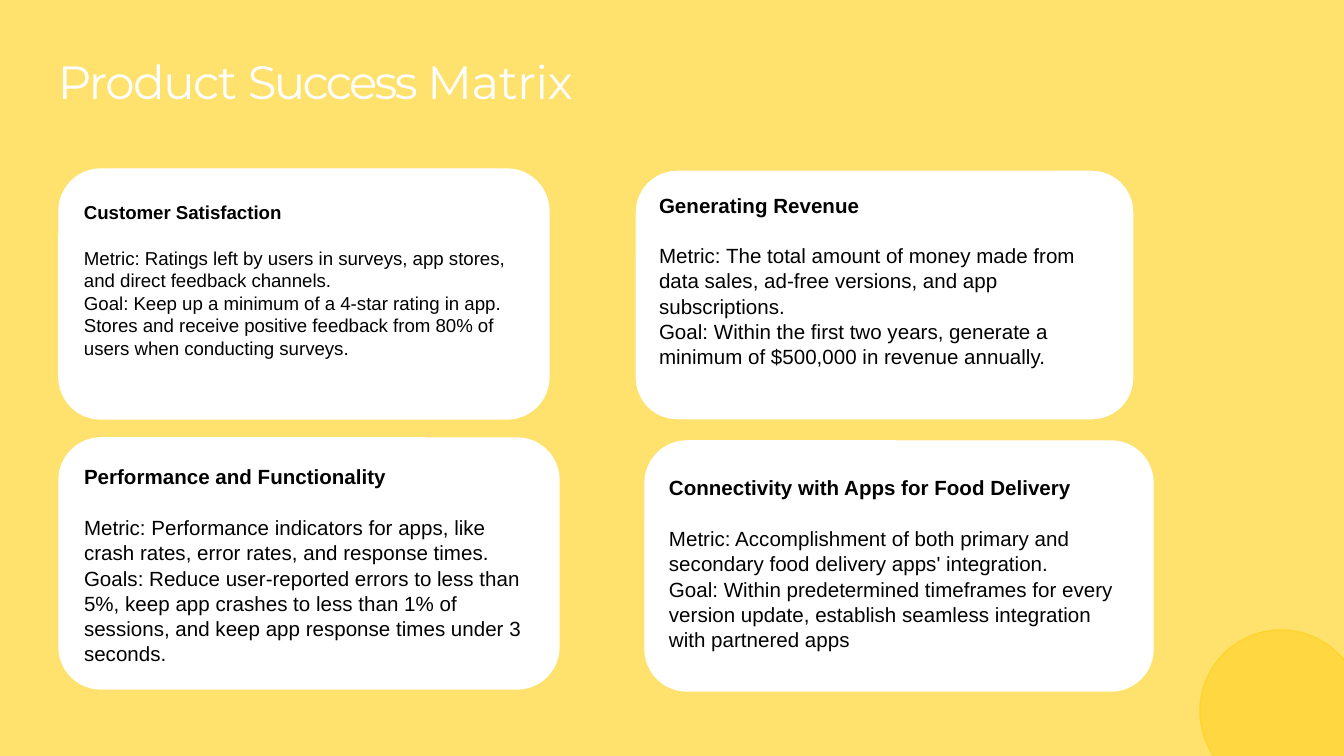
from math import asin, acos, cos, pi, sin

from pptx import Presentation
from pptx.dml.color import RGBColor
from pptx.enum.shapes import MSO_SHAPE as Shape
from pptx.enum.text import MSO_ANCHOR as Anchor, PP_ALIGN as Align
from pptx.oxml.ns import qn
from pptx.oxml.xmlchemy import OxmlElement
from pptx.util import Pt

SCALE = 914400 / 134.4  # EMU per px
WIDTH, HEIGHT = 1344, 756
WHITE = RGBColor(0xFF, 0xFF, 0xFF)
BLACK = RGBColor(0, 0, 0)
YELLOW = RGBColor(0xFF, 0xE1, 0x6E)
GOLD = RGBColor(0xFF, 0xD4, 0x2F)

# Content: title runs with their letter spacing in points
TITLE = [("Product ", -0.8), ("Success ", -1.4), ("Matrix", -0.1)]
TITLE_BOX = (46, 31, 1253, 85)

# card and text are left, top, width, height; gap is points below the heading
CARDS = [
    dict(card=(59, 169, 490, 250), outline=WHITE, text=(82, 198, 430, 160),
         size=10, spacing=1.0, gap=12.5,
         heading="Customer Satisfaction",
         body=["Metric: Ratings left by users in surveys, app stores, and direct "
               "feedback channels.",
               "Goal: Keep up a minimum of a 4-star rating in app. Stores and "
               "receive positive feedback from 80% of users when conducting surveys."]),
    dict(card=(635, 170, 499, 250), outline=YELLOW, text=(657, 190, 424, 178),
         size=11, spacing=1.02, gap=13.5,
         heading="Generating Revenue",
         body=["Metric: The total amount of money made from data sales, ad-free "
               "versions, and app subscriptions.",
               "Goal: Within the first two years, generate a minimum of $500,000 "
               "in revenue annually."]),
    dict(card=(59, 438, 500, 251), outline=WHITE, text=(82, 461, 446, 204),
         size=11, spacing=1.02, gap=14,
         heading="Performance and Functionality",
         body=["Metric: Performance indicators for apps, like crash rates, error "
               "rates, and response times. Goals: Reduce user-reported errors to "
               "less than 5%, keep app crashes to less than 1% of sessions, and "
               "keep app response times under 3 seconds."]),
    dict(card=(645, 441, 508, 250), outline=WHITE, text=(667, 472, 452, 180),
         size=11, spacing=1.02, gap=14,
         heading="Connectivity with Apps for Food Delivery",
         body=["Metric: Accomplishment of both primary and secondary food "
               "delivery apps' integration.",
               "Goal: Within predetermined timeframes for every version update, "
               "establish seamless integration with partnered apps"]),
]
CORNER = 42
CIRCLE = (1281, 711, 81)  # centre x, centre y, radius


def px(*values):
    return [round(value * SCALE) for value in values]


def set_all(target, values):
    for name, value in values.items():
        setattr(target, name, value)


def set_frame(frame, left, top):
    left, top = px(left, top)
    set_all(frame, dict(word_wrap=True, vertical_anchor=Anchor.TOP, margin_left=left,
                        margin_top=top, margin_right=0, margin_bottom=0))


def set_outline(shape, color):
    shape.shadow.inherit = False
    shape.line.color.rgb = color
    shape.line.width = Pt(0.75)


def add_title(slide):
    title = slide.shapes.title
    set_all(title, dict(zip(("left", "top", "width", "height"), px(*TITLE_BOX))))
    set_frame(title.text_frame, 12, 22)
    paragraph = title.text_frame.paragraphs[0]
    paragraph.alignment = Align.LEFT
    for text, spacing in TITLE:
        run = paragraph.add_run()
        run.text = text
        set_all(run.font, dict(name="Montserrat", size=Pt(25), bold=False))
        run.font.color.rgb = WHITE
        run.font._element.set("spc", str(round(spacing * 100)))


def add_card(slide, card):
    # Rounded panel
    panel = slide.shapes.add_shape(Shape.ROUNDED_RECTANGLE, *px(*card["card"]))
    panel.adjustments[0] = CORNER / min(card["card"][2:])
    panel.fill.solid()
    panel.fill.fore_color.rgb = WHITE
    set_outline(panel, card["outline"])

    # Heading and body
    frame = slide.shapes.add_textbox(*px(*card["text"])).text_frame
    set_frame(frame, 2, 3)
    for index, text in enumerate([card["heading"], *card["body"]]):
        paragraph = frame.add_paragraph() if index else frame.paragraphs[0]
        paragraph.text = text
        paragraph.line_spacing = card["spacing"] if index else 1.0
        if index == 1:
            paragraph.space_before = Pt(card["gap"])
        set_all(paragraph.font, dict(name="Arial", size=Pt(card["size"]), bold=index == 0))
        paragraph.font.color.rgb = BLACK


def add_corner_circle(slide):
    # Arc from the bottom edge clockwise to the right edge
    x, y, radius = CIRCLE
    start = pi - asin((HEIGHT - y) / radius)
    end = 2 * pi - acos((WIDTH - x) / radius)
    steps = 60
    angles = [start + (end - start) * step / steps for step in range(steps + 1)]
    arc = [px(x + radius * cos(angle), y + radius * sin(angle)) for angle in angles]

    def add_outline(points, close):
        builder = slide.shapes.build_freeform(*points[0])
        builder.add_line_segments(points[1:], close=close)
        shape = builder.convert_to_shape()
        set_outline(shape, GOLD)
        return shape

    disc = add_outline(arc + [px(WIDTH, HEIGHT)], True)
    disc.line.fill.background()
    disc.fill.solid()
    disc.fill.fore_color.rgb = GOLD
    alpha = OxmlElement("a:alpha")
    alpha.set("val", "70000")
    disc._element.spPr.find(qn("a:solidFill"))[0].append(alpha)
    add_outline(arc, False).fill.background()


def main():
    presentation = Presentation()
    presentation.slide_width, presentation.slide_height = px(WIDTH, HEIGHT)
    slide = presentation.slides.add_slide(presentation.slide_layouts[5])
    slide.background.fill.solid()
    slide.background.fill.fore_color.rgb = YELLOW
    add_title(slide)
    for card in CARDS:
        add_card(slide, card)
    add_corner_circle(slide)
    presentation.save("out.pptx")


if __name__ == "__main__":
    main()
